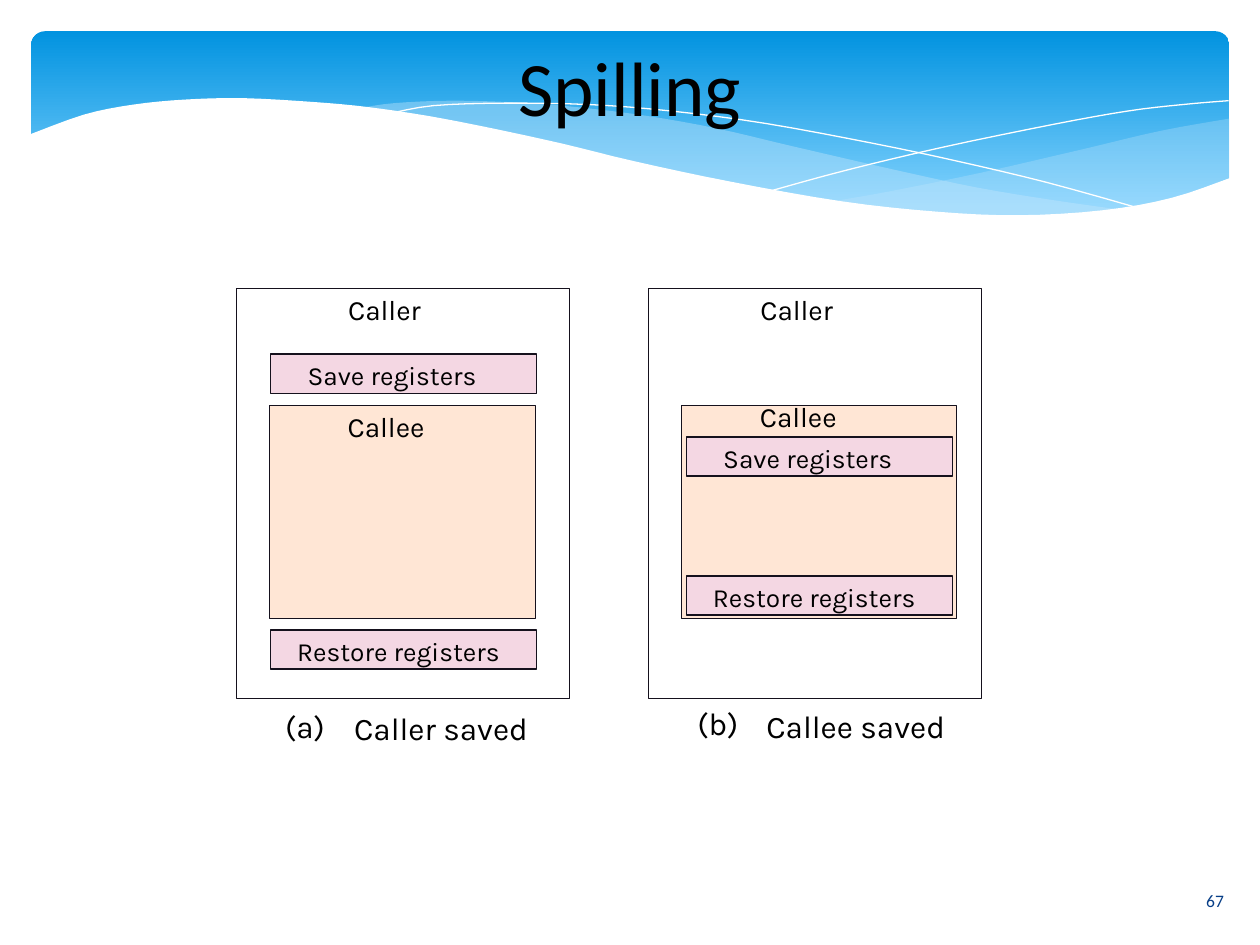
from dataclasses import dataclass
from itertools import chain

from lxml.etree import SubElement as Sub
from pptx import Presentation
from pptx.dml.color import RGBColor as Rgb
from pptx.enum.shapes import MSO_SHAPE as Kind
from pptx.enum.text import MSO_ANCHOR as Anchor, PP_ALIGN as Align
from pptx.oxml.ns import qn
from pptx.util import Cm, Pt


@dataclass(frozen=True)
class Theme:
    ink: str = "000000"
    edge: str = "15111D"
    callee: str = "FFE6D5"
    bar: str = "F4D7E3"
    sky: tuple = ("0293E0", "83D3FE")
    mist: str = "C6E7FC"
    white: str = "FFFFFF"
    number: str = "073E87"
    head: str = "Calibri"
    body: str = "Karla"
    title: int = 44
    caption: int = 18
    label: int = 16
    step: int = 15
    small: int = 10


THEME = Theme()

# Banner curves: each arc is a smooth run of points, in centimetres
RIGHT = [
    [(24.79, 2.39), (23.39, 2.64), (21.87, 3), (19.79, 3.48), (17.93, 3.86),
     (16.79, 4.06)],
    [(16.79, 4.06), (17.91, 4.19), (19.23, 4.32), (20.4, 4.37), (21.69, 4.32),
     (22.99, 4.14), (23.93, 3.91), (24.79, 3.58)],
]
LEFT = [
    [(7.26, 2.18), (8.69, 2.39), (10.26, 2.69), (12.47, 3.2), (14.38, 3.63),
     (16.1, 3.96), (17.65, 4.19), (19, 4.32), (20.5, 4.39), (21.77, 4.34),
     (22.68, 4.24)],
    [(22.68, 4.24), (21.26, 4.04), (19.69, 3.78), (17.93, 3.4), (15.98, 2.95),
     (14.45, 2.59), (13.06, 2.34), (11.81, 2.18), (10.67, 2.08), (9.17, 2.03),
     (7.95, 2.08), (7.26, 2.18)],
]
FALL = [[(7.85, 2.29), (8.74, 2.13), (10.19, 2.08), (11.91, 2.11),
         (13.54, 2.24), (15.44, 2.49), (17.65, 2.9), (19.3, 3.25),
         (21.11, 3.68), (23.04, 4.22)]]
RISE = [[(15.57, 3.84), (17.07, 3.43), (19, 2.97), (21.23, 2.51),
         (22.73, 2.24), (23.83, 2.11), (24.77, 2.03)]]
FRONT = [
    [(24.82, 3.58), (23.62, 3.99), (22.23, 4.24), (20.55, 4.34), (18.9, 4.27),
     (16.97, 4.06), (14.71, 3.66), (12.78, 3.25), (11.35, 2.9), (9.93, 2.59),
     (8.64, 2.34), (7.42, 2.16), (6.35, 2.06), (4.9, 1.98), (3.71, 2.01),
     (2.69, 2.11), (1.7, 2.31), (0.58, 2.72)],
    [(0.58, 5.69), (24.82, 5.69)],
]


def smooth(arc, steps=4):
    """Catmull-Rom points through an arc."""
    ends = [arc[0], *arc, arc[-1]]
    for a, b, c, d in zip(ends, ends[1:], ends[2:], ends[3:]):
        for t in (i / steps for i in range(steps)):
            yield tuple(
                q + t / 2 * (r - p + t * (2*p - 5*q + 4*r - s
                                          + t * (3*q - p - 3*r + s)))
                for p, q, r, s in zip(a, b, c, d))
    yield arc[-1]


def paint(shape, fill=None, line=None):
    shape.shadow.inherit = False
    if fill:
        shape.fill.solid()
        shape.fill.fore_color.rgb = Rgb.from_string(fill)
    else:
        shape.fill.background()
    if line:
        shape.line.color.rgb = Rgb.from_string(line)
        shape.line.width = Pt(0)
    else:
        shape.line.fill.background()


def wave(shapes, arcs, fill=None, line=None, alpha=None):
    first, *rest = [(Cm(x), Cm(y))
                    for x, y in chain.from_iterable(map(smooth, arcs))]
    pen = shapes.build_freeform(*first)
    pen.add_line_segments(rest, close=bool(fill))
    shape = pen.convert_to_shape()
    paint(shape, fill, line)
    if alpha:
        tint = shape.fill._xPr.find(".//" + qn("a:srgbClr"))
        Sub(tint, qn("a:alpha"), val=str(alpha * 1000))


def box(shapes, x, y, wide, high, fill=None):
    shape = shapes.add_shape(Kind.RECTANGLE, Cm(x), Cm(y), Cm(wide), Cm(high))
    paint(shape, fill, THEME.edge)


def write(frame, text, size, font, color, align=Align.LEFT):
    frame.text = text
    para = frame.paragraphs[0]
    para.alignment = align
    para.font.size = Pt(size)
    para.font.name = font
    para.font.color.rgb = Rgb.from_string(color)


def trim(frame):
    frame.margin_left = frame.margin_right = 0
    frame.margin_top = frame.margin_bottom = 0


def label(shapes, x, y, wide, text, size):
    high = size * 0.047
    frame = shapes.add_textbox(Cm(x), Cm(y), Cm(wide), Cm(high)).text_frame
    trim(frame)
    frame.word_wrap = False
    write(frame, text, size, THEME.body, THEME.ink)


def banner(shapes):
    back = shapes.add_shape(Kind.ROUNDED_RECTANGLE, Cm(0.63), Cm(0.63),
                            Cm(24.15), Cm(3.96))
    back.adjustments[0] = 0.07
    paint(back)
    back.fill.gradient()
    back.fill.gradient_angle = 270
    for stop, color, spot in zip(back.fill.gradient_stops, THEME.sky, (0, 0.9)):
        stop.color.rgb = Rgb.from_string(color)
        stop.position = spot
    wave(shapes, RIGHT, THEME.mist, alpha=29)
    wave(shapes, LEFT, THEME.mist, alpha=40)
    for arcs in (FALL, RISE):
        wave(shapes, arcs, line=THEME.white)
    wave(shapes, FRONT, THEME.white)


def heading(shapes, text):
    title = shapes.title
    shapes._spTree.append(title._element)  # in front of the banner
    title.left, title.top = Cm(0.63), Cm(0.43)
    title.width, title.height = Cm(24.13), Cm(2.59)
    frame = title.text_frame
    trim(frame)
    frame.vertical_anchor = Anchor.MIDDLE
    write(frame, text, THEME.title, THEME.head, THEME.ink, Align.CENTER)


def number(shapes, text):
    frame = shapes.add_textbox(Cm(23.72), Cm(17.65), Cm(1.55),
                               Cm(1.02)).text_frame
    frame.word_wrap = True
    frame.vertical_anchor = Anchor.MIDDLE
    write(frame, text, THEME.small, THEME.head, THEME.number, Align.CENTER)


def panel(shapes, x, wide, inset, steps, callee, foot, mark, name):
    """Caller frame with its callee, two register steps and a caption."""
    box(shapes, x, 5.82, 6.71, 8.26)
    box(shapes, x + 0.66, 8.18, wide, 4.29, THEME.callee)
    texts = (("Save registers", 0.74, 3.61), ("Restore registers", 0.53, 4.27))
    for y, (text, shift, span) in zip(steps, texts):
        box(shapes, x + inset, y, 5.36, 0.79, THEME.bar)
        label(shapes, x + inset + shift, y + 0.11, span, text, THEME.step)
    label(shapes, x + 2.24, callee, 1.83, "Callee", THEME.label)
    label(shapes, x + 2.25, 5.89, 1.73, "Caller", THEME.label)
    label(shapes, x + 0.98, foot, 1.12, mark, THEME.caption)
    label(shapes, x + 2.37, foot + 0.05, 3.9, name, THEME.caption)


def main():
    deck = Presentation()
    deck.slide_width, deck.slide_height = Cm(25.4), Cm(19.05)
    shapes = deck.slides.add_slide(deck.slide_layouts[5]).shapes
    banner(shapes)
    number(shapes, "67")
    heading(shapes, "Spilling")
    panel(shapes, 4.77, 5.36, 0.69, (7.14, 12.7), 8.26, 14.25,
          "(a)", "Caller saved")
    panel(shapes, 13.08, 5.54, 0.76, (8.81, 11.61), 8.05, 14.2,
          "(b)", "Callee saved")
    deck.save("out.pptx")


main()
